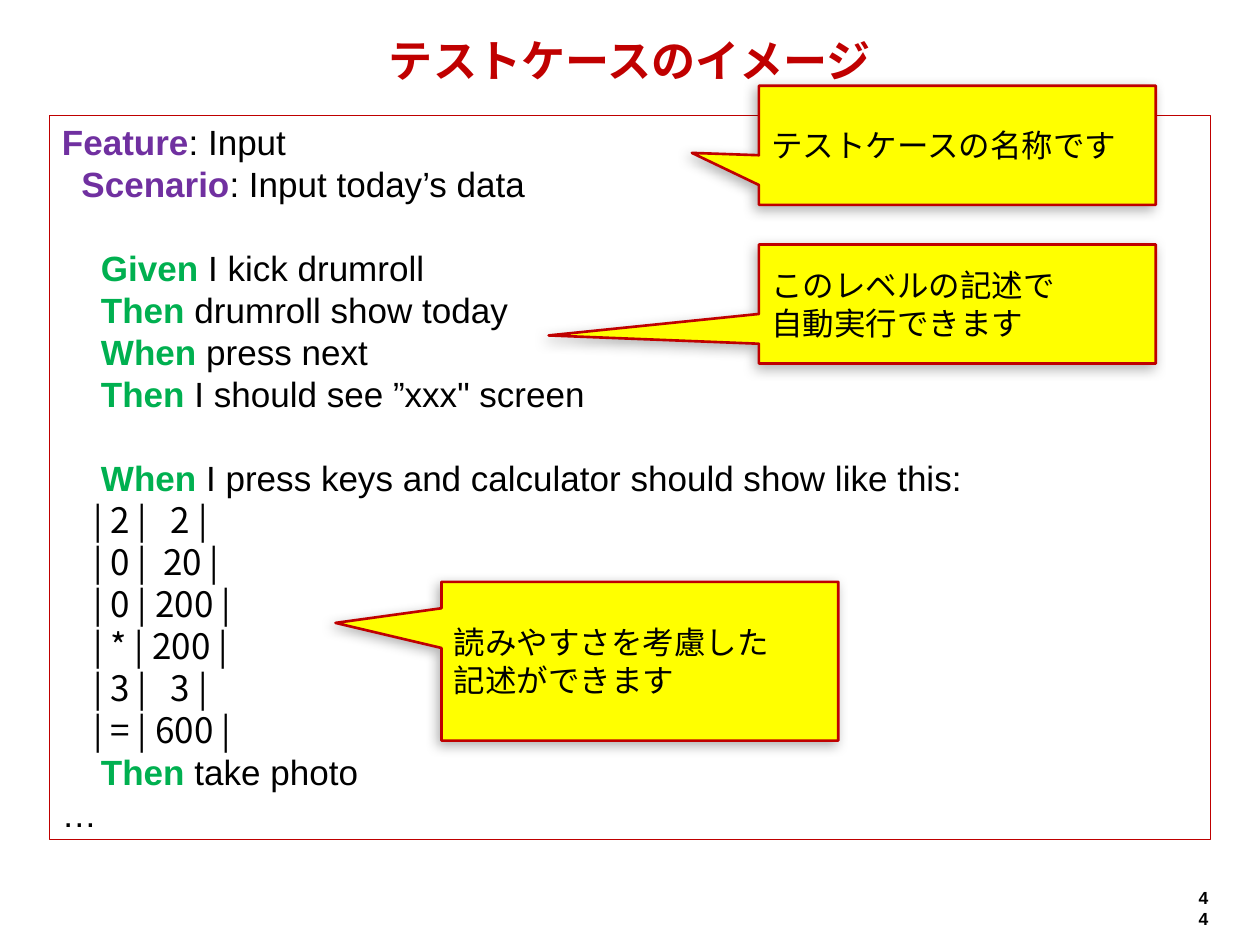
from dataclasses import dataclass

from lxml import etree
from pptx import Presentation
from pptx import util as u
from pptx.dml.color import RGBColor
from pptx.enum import shapes, text
from pptx.oxml import ns

LATIN, JAPANESE = "Arial", "Noto Sans CJK JP"
BLACK, RED, BORDER, YELLOW = "000000", "C00000", "BF0000", "FFFF00"
PURPLE, GREEN = "7030A0", "00B050"
LINE_FACTOR = 1.2  # line pitch relative to the text size


@dataclass
class CodeLine:
    indent: int
    keyword: str
    rest: str
    color: str = GREEN
    font: str = LATIN
    gap: bool = False  # leave one line free above


@dataclass
class Callout:
    left: float
    top: float
    height: float
    tip: tuple[float, float]
    lines: list[str]


KEY_ROWS = [("2", "2"), ("0", "20"), ("0", "200"), ("*", "200"), ("3", "3"), ("=", "600")]
CODE = [
    CodeLine(0, "Feature", ": Input", PURPLE),
    CodeLine(2, "Scenario", ": Input today’s data", PURPLE),
    CodeLine(4, "Given ", "I kick drumroll", gap=True),
    CodeLine(4, "Then", " drumroll show today"),
    CodeLine(4, "When ", "press next"),
    CodeLine(4, "Then", " I should see ”xxx\" screen"),
    CodeLine(4, "When ", "I press keys and calculator should show like this:", gap=True),
    *[CodeLine(4, "", f"| {key} | {shown:>3} |", font=JAPANESE) for key, shown in KEY_ROWS],
    CodeLine(4, "Then", " take photo"),
    CodeLine(0, "", "…"),
]
CALLOUTS = [
    Callout(15.3, 1.73, 2.4, (-0.669, 0.064), ["テストケースの名称です"]),
    Callout(15.3, 4.93, 2.4, (-1.03, 0.264), ["このレベルの記述で", "自動実行できます"]),
    Callout(8.9, 11.73, 3.2, (-0.767, -0.241), ["読みやすさを考慮した", "記述ができます"]),
]


def rgb(color: str) -> RGBColor:
    return RGBColor.from_string(color)


def style(paragraph, size: float, color: str = BLACK, bold: bool = False,
          font: str = LATIN, align=text.PP_ALIGN.LEFT) -> None:
    paragraph.alignment = align
    paragraph.line_spacing = u.Pt(size * LINE_FACTOR)
    paragraph.font.name = font
    paragraph.font.size = u.Pt(size)
    paragraph.font.bold = bold
    paragraph.font.color.rgb = rgb(color)


def next_paragraph(frame, index: int):
    return frame.add_paragraph() if index else frame.paragraphs[0]


def add_label(slide, box: tuple, wording: str, anchor, **look) -> None:
    frame = slide.shapes.add_textbox(*map(u.Cm, box)).text_frame
    frame.word_wrap = True
    frame.vertical_anchor = anchor
    frame.text = wording
    style(frame.paragraphs[0], **look)


def add_panel(slide, kind, box: tuple, line_width: float):
    shape = slide.shapes.add_shape(kind, *map(u.Cm, box))
    shape.shadow.inherit = False
    shape.fill.background()
    shape.line.color.rgb = rgb(BORDER)
    shape.line.width = u.Pt(line_width)
    shape.text_frame.word_wrap = True
    shape.text_frame.vertical_anchor = text.MSO_ANCHOR.MIDDLE
    return shape


def add_shadow(shape) -> None:
    effects = shape._element.spPr.find(ns.qn("a:effectLst"))
    shadow = etree.SubElement(effects, ns.qn("a:outerShdw"), blurRad=str(u.Pt(7)),
                              dist=str(u.Pt(3)), dir=str(135 * 60000), rotWithShape="0")
    color = etree.SubElement(shadow, ns.qn("a:srgbClr"), val=BLACK)
    etree.SubElement(color, ns.qn("a:alpha"), val="30000")


def add_code(slide, size: float = 20) -> None:
    shape = add_panel(slide, shapes.MSO_SHAPE.RECTANGLE, (1, 2.33, 23.4, 14.6), 0.75)
    for index, line in enumerate(CODE):
        paragraph = next_paragraph(shape.text_frame, index)
        style(paragraph, size, font=line.font)
        if line.gap:
            paragraph.space_before = u.Pt(size * LINE_FACTOR)
        indent = " " * line.indent
        if not line.keyword:
            paragraph.add_run().text = indent + line.rest
            continue
        if indent:
            paragraph.add_run().text = indent
        keyword = paragraph.add_run()
        keyword.text = line.keyword
        keyword.font.bold = True
        keyword.font.color.rgb = rgb(line.color)
        paragraph.add_run().text = line.rest


def add_callout(slide, callout: Callout) -> None:
    box = (callout.left, callout.top, 8, callout.height)
    shape = add_panel(slide, shapes.MSO_SHAPE.RECTANGULAR_CALLOUT, box, 1.5)
    shape.fill.solid()
    shape.fill.fore_color.rgb = rgb(YELLOW)
    shape.adjustments[0], shape.adjustments[1] = callout.tip
    add_shadow(shape)
    for index, line in enumerate(callout.lines):
        paragraph = next_paragraph(shape.text_frame, index)
        paragraph.text = line
        style(paragraph, 18)


def main() -> None:
    presentation = Presentation()
    presentation.slide_width, presentation.slide_height = u.Cm(25.4), u.Cm(19.05)
    slide = presentation.slides.add_slide(presentation.slide_layouts[6])

    # Page number and title
    add_label(slide, (23.9, 17.75, 0.71, 0.69), "44", text.MSO_ANCHOR.TOP,
              size=10, bold=True, align=text.PP_ALIGN.RIGHT)
    add_label(slide, (1, 0.71, 23.4, 1), "テストケースのイメージ", text.MSO_ANCHOR.MIDDLE,
              size=25.2, color=RED, bold=True, align=text.PP_ALIGN.CENTER)

    # Test case listing with its remarks
    add_code(slide)
    for callout in CALLOUTS:
        add_callout(slide, callout)

    presentation.save("out.pptx")


if __name__ == "__main__":
    main()
